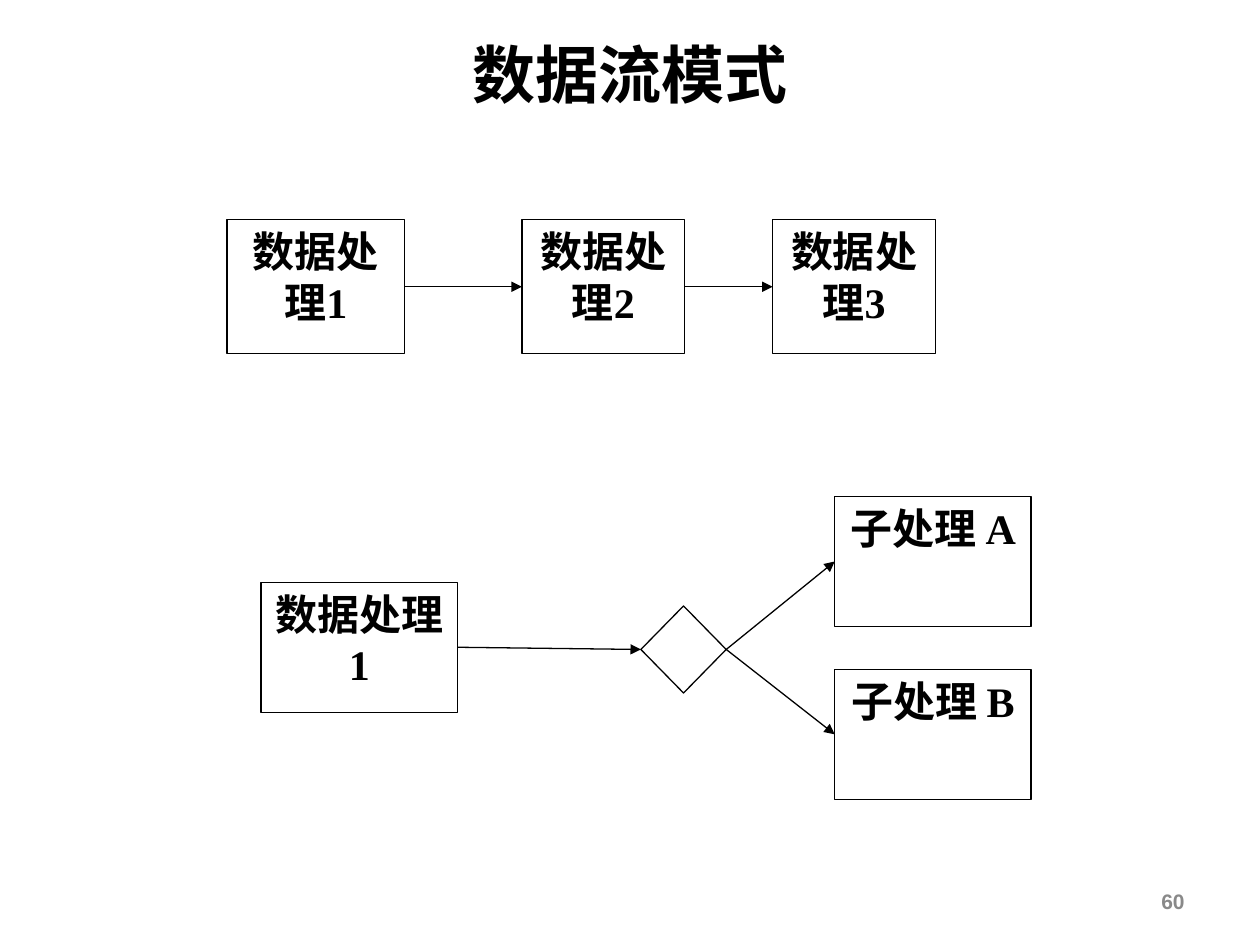
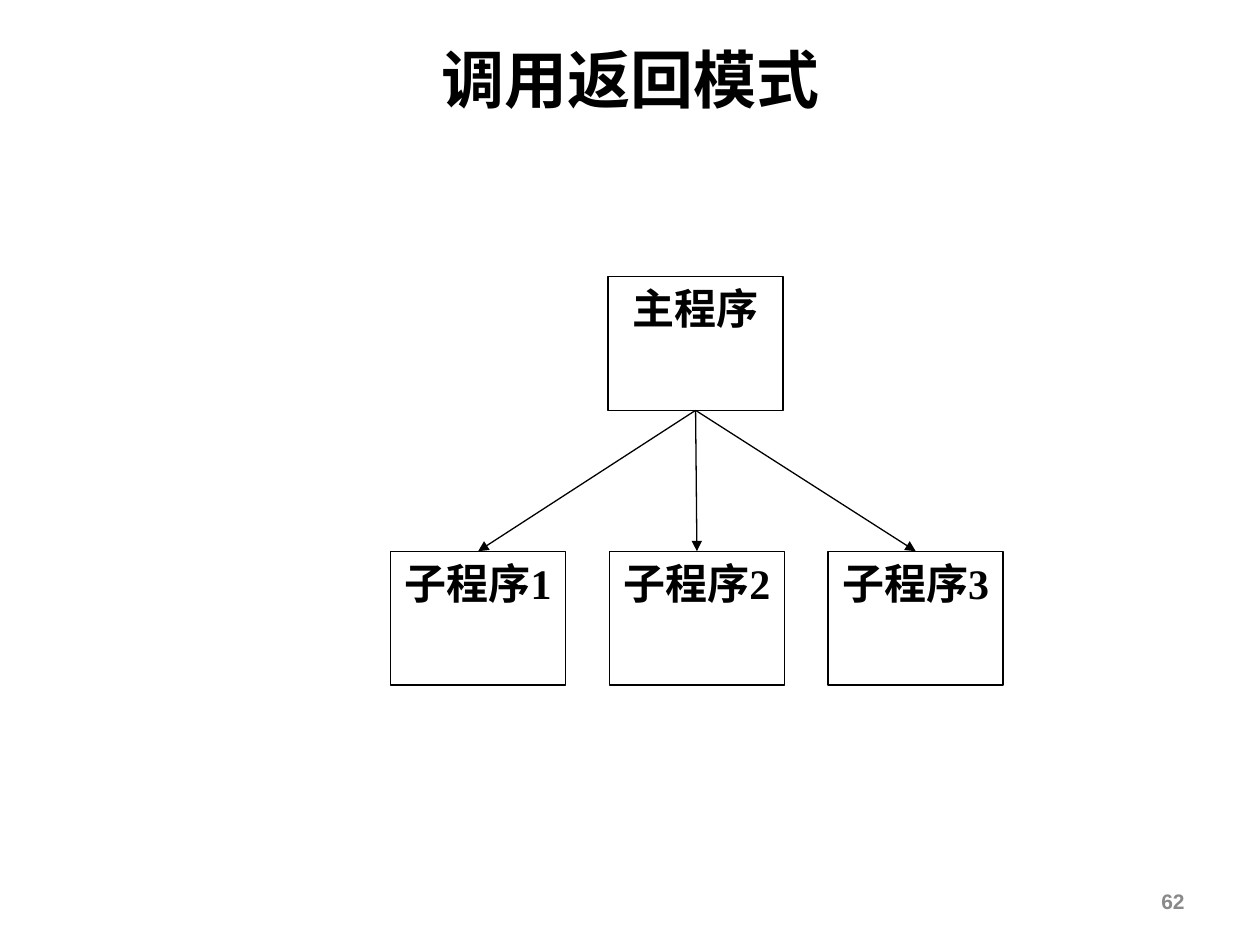
from lxml.etree import SubElement
from pptx import Presentation
from pptx.dml.color import RGBColor
from pptx.enum.shapes import MSO_CONNECTOR, MSO_SHAPE
from pptx.enum.text import MSO_ANCHOR, PP_ALIGN
from pptx.oxml.ns import qn
from pptx.util import Pt

# Shared style
BLACK, WHITE, GREY = "000000", "FFFFFF", "898989"
TITLE_FONT, BOX_FONT, NUMBER_FONT = "Calibri", "Times New Roman", "Arial"
LINE_WIDTH = 0.75
TOP, LEFT, BOTTOM, RIGHT = range(4)


def color(hex_code):
    return RGBColor.from_string(hex_code)


def add_run(tf, text, font, size, hex_code, align):
    p = tf.paragraphs[0]
    p.alignment = align
    r = p.add_run()
    r.text = text
    r.font.name, r.font.size, r.font.bold = font, Pt(size), True
    r.font.color.rgb = color(hex_code)


def add_label(slide, text, x, y, w, h, font, size, hex_code, align):
    tf = slide.shapes.add_textbox(Pt(x), Pt(y), Pt(w), Pt(h)).text_frame
    tf.word_wrap = True
    tf.vertical_anchor = MSO_ANCHOR.MIDDLE
    add_run(tf, text, font, size, hex_code, align)


def add_node(slide, x, y, w, h, text="", kind=MSO_SHAPE.RECTANGLE):
    sp = slide.shapes.add_shape(kind, Pt(x), Pt(y), Pt(w), Pt(h))
    sp.shadow.inherit = False
    sp.fill.solid()
    sp.fill.fore_color.rgb = color(WHITE)
    sp.line.color.rgb = color(BLACK)
    sp.line.width = Pt(LINE_WIDTH)
    if text:
        tf = sp.text_frame
        tf.word_wrap = True
        tf.vertical_anchor = MSO_ANCHOR.TOP
        add_run(tf, text, BOX_FONT, 24, BLACK, PP_ALIGN.CENTER)
    return sp


def add_arrow(slide, start, start_side, end, end_side):
    line = slide.shapes.add_connector(MSO_CONNECTOR.STRAIGHT, 0, 0, 0, 0)
    line.begin_connect(start, start_side)
    line.end_connect(end, end_side)
    line.line.color.rgb = color(BLACK)
    line.line.width = Pt(LINE_WIDTH)
    SubElement(line.line._get_or_add_ln(), qn("a:tailEnd"), type="triangle")
    SubElement(line._element.spPr, qn("a:effectLst"))


def new_slide(prs, title, title_height, number):
    slide = prs.slides.add_slide(prs.slide_layouts[6])
    add_label(slide, title, 24, 18, 672, title_height,
              TITLE_FONT, 36, BLACK, PP_ALIGN.CENTER)
    add_label(slide, number, 516, 500.5, 168, 28.75,
              NUMBER_FONT, 12, GREY, PP_ALIGN.RIGHT)
    return slide


def data_flow_slide(prs):
    slide = new_slide(prs, "数据流模式", 47.5, "60")

    # Sequential pipeline
    columns = [(129.75, 101.5), (298.25, 93), (441.5, 93)]
    steps = [add_node(slide, x, 125.5, w, 76.75, f"数据处理{i}")
             for i, (x, w) in enumerate(columns, 1)]
    for step, following in zip(steps, steps[1:]):
        add_arrow(slide, step, RIGHT, following, LEFT)

    # Branching flow
    w, h = 112.25, 74.25
    source = add_node(slide, 149.25, 332.75, w, h, "数据处理1")
    decision = add_node(slide, 366.25, 346.25, 48.75, 49.75,
                        kind=MSO_SHAPE.FLOWCHART_DECISION)
    add_arrow(slide, source, RIGHT, decision, LEFT)
    for i, name in enumerate("AB"):
        branch = add_node(slide, 477, 283.75 + i * 98.75, w, h, f"子处理 {name}")
        add_arrow(slide, decision, RIGHT, branch, LEFT)


def call_return_slide(prs):
    slide = new_slide(prs, "调用返回模式", 53.5, "62")
    w, h = 100, 76.5
    main_program = add_node(slide, 347.5, 158, w, h, "主程序")
    for i in range(3):
        sub = add_node(slide, 223.25 + i * 125, 315, w, h, f"子程序{i + 1}")
        add_arrow(slide, main_program, BOTTOM, sub, TOP)


def main():
    prs = Presentation()
    prs.slide_width, prs.slide_height = Pt(720), Pt(540)
    data_flow_slide(prs)
    call_return_slide(prs)
    prs.save("out.pptx")


if __name__ == "__main__":
    main()
